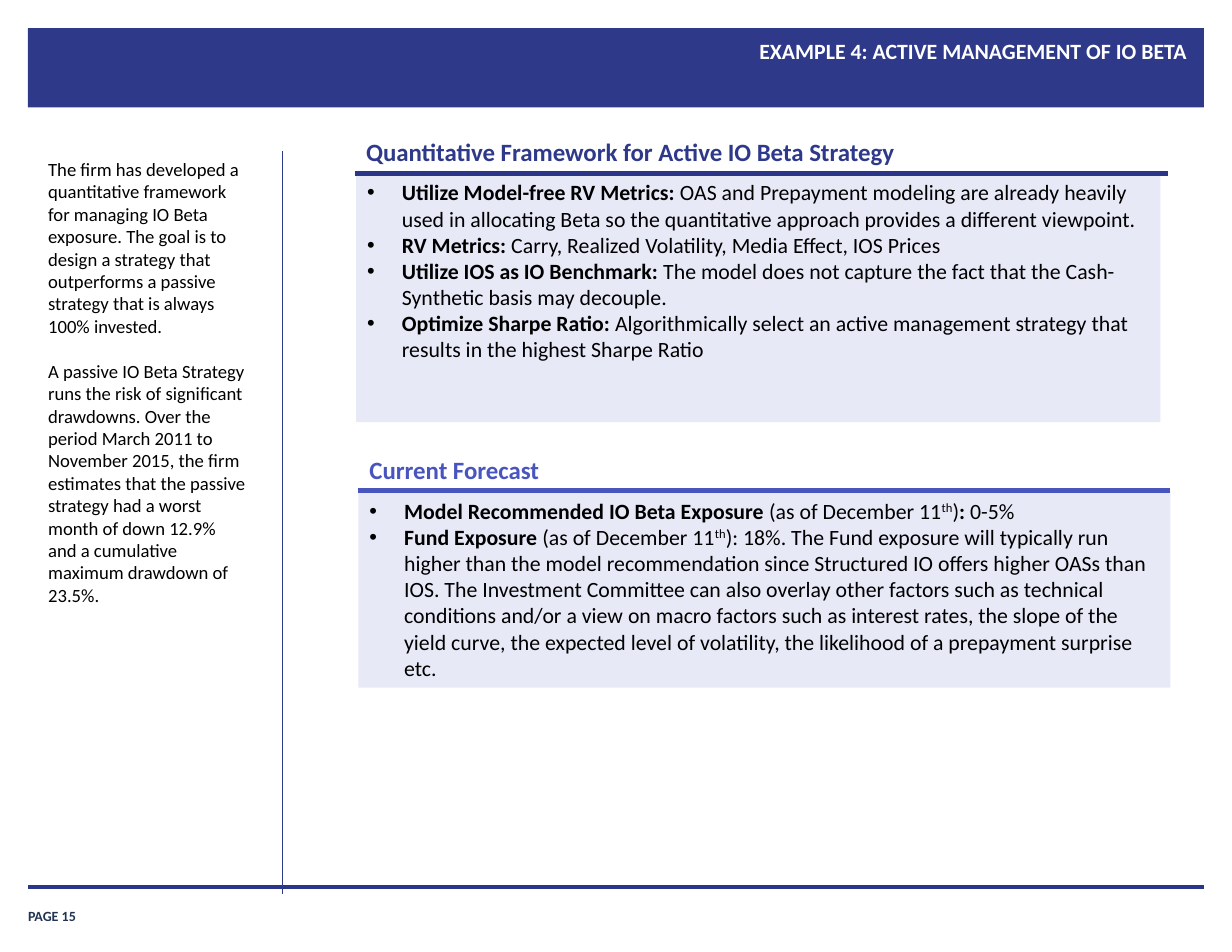
from dataclasses import dataclass

from lxml.etree import SubElement
from pptx import Presentation
from pptx.dml.color import RGBColor
from pptx.enum.shapes import MSO_CONNECTOR, MSO_SHAPE
from pptx.enum.text import MSO_ANCHOR, MSO_AUTO_SIZE, PP_ALIGN
from pptx.oxml.ns import qn
from pptx.util import Inches, Pt

NAVY = RGBColor(0x2E, 0x39, 0x8A)
RULE = RGBColor(0x2B, 0x36, 0x89)
BLUE = RGBColor(0x48, 0x55, 0xBE)
PALE = RGBColor(0xE7, 0xE9, 0xF7)
INK = RGBColor(0x20, 0x33, 0x53)
BLACK = RGBColor(0, 0, 0)
WHITE = RGBColor(0xFF, 0xFF, 0xFF)
FONT = "Calibri"


@dataclass(frozen=True)
class Box:
    left: float
    top: float
    width: float
    height: float

    def sizes(self) -> tuple:
        return tuple(Inches(n) for n in (self.left, self.top, self.width, self.height))


@dataclass(frozen=True)
class Span:
    text: str
    bold: bool = False
    raised: bool = False


@dataclass(frozen=True)
class Panel:
    head: str
    color: RGBColor
    title: Box
    back: Box
    rule: tuple


SIDE = [
    "The firm has developed a quantitative framework for managing IO Beta exposure. "
    "The goal is to design a strategy that outperforms a passive strategy that is "
    "always 100% invested.",
    "A passive IO Beta Strategy runs the risk of significant drawdowns. Over the period "
    "March 2011 to November 2015, the firm estimates that the passive strategy had a worst "
    "month of down 12.9% and a cumulative maximum drawdown of 23.5%.",
]
FRAME = Panel("Quantitative Framework for Active IO Beta Strategy", NAVY,
              Box(3.17, 1.17, 7.25, 0.37), Box(3.18, 1.55, 7.18, 2.22), (3.17, 10.43, RULE))
FORECAST = Panel("Current Forecast", BLUE,
                 Box(3.2, 4.01, 7.25, 0.37), Box(3.2, 4.38, 7.25, 1.76), (3.2, 10.45, BLUE))
METHODS = [
    [Span("Utilize Model-free RV Metrics: ", True),
     Span("OAS and Prepayment modeling are already heavily used in allocating Beta so the "
          "quantitative approach provides a different viewpoint.")],
    [Span("RV Metrics: ", True),
     Span("Carry, Realized Volatility, Media Effect, IOS Prices")],
    [Span("Utilize IOS as IO Benchmark: ", True),
     Span("The model does not capture the fact that the Cash-Synthetic basis may decouple.")],
    [Span("Optimize Sharpe Ratio: ", True),
     Span("Algorithmically select an active management strategy that results in the "
          "highest Sharpe Ratio")],
]
DATE = [Span("(as of December 11"), Span("th", raised=True)]
LEVELS = [
    [Span("Model Recommended IO Beta Exposure ", True), *DATE,
     Span(")"), Span(": ", True), Span("0-5%")],
    [Span("Fund Exposure ", True), *DATE,
     Span("): 18%. The Fund exposure will typically run higher than the model recommendation "
          "since Structured IO offers higher OASs than IOS. The Investment Committee can also "
          "overlay other factors such as technical conditions and/or a view on macro factors "
          "such as interest rates, the slope of the yield curve, the expected level of "
          "volatility, the likelihood of a prepayment surprise etc.")],
]


def add_rect(slide, box: Box, color: RGBColor):
    shape = slide.shapes.add_shape(MSO_SHAPE.RECTANGLE, *box.sizes())
    shape.shadow.inherit = False
    shape.fill.solid()
    shape.fill.fore_color.rgb = color
    shape.line.fill.background()
    return shape


def add_line(slide, start: tuple, end: tuple, color: RGBColor, width: float) -> None:
    line = slide.shapes.add_connector(
        MSO_CONNECTOR.STRAIGHT, *(Inches(n) for n in start + end))
    line.line.color.rgb = color
    line.line.width = Pt(width)
    SubElement(line._element.spPr, qn("a:effectLst"))


def add_run(para, span: Span, size: float, color: RGBColor) -> None:
    run = para.add_run()
    run.text = span.text
    font = run.font
    font.name, font.size, font.bold = FONT, Pt(size), span.bold
    font.color.rgb = color
    if span.raised:
        run._r.get_or_add_rPr().set("baseline", "30000")


def set_frame(frame, inset: tuple, anchor=MSO_ANCHOR.TOP) -> None:
    frame.word_wrap = True
    frame.auto_size = MSO_AUTO_SIZE.NONE
    frame.vertical_anchor = anchor
    frame.margin_left = frame.margin_right = Inches(inset[0])
    frame.margin_top = frame.margin_bottom = Inches(inset[1])


def add_text(slide, box: Box):
    return slide.shapes.add_textbox(*box.sizes()).text_frame


def place(shape, box: Box):
    shape.left, shape.top, shape.width, shape.height = box.sizes()
    set_frame(shape.text_frame, (0.11, 0.06))
    return shape.text_frame


def next_para(frame, index: int):
    return frame.add_paragraph() if index else frame.paragraphs[0]


def add_list(frame, items: list, anchor) -> None:
    set_frame(frame, (0.1, 0.05), anchor)
    for index, spans in enumerate(items):
        para = next_para(frame, index)
        para.alignment = PP_ALIGN.LEFT
        props = para._p.get_or_add_pPr()
        props.set("marL", str(Inches(0.31)))
        props.set("indent", str(Inches(-0.31)))
        SubElement(props, qn("a:buFont")).set("typeface", "Arial")
        SubElement(props, qn("a:buChar")).set("char", "•")
        for span in spans:
            add_run(para, span, 14, BLACK)


def add_panel(slide, panel: Panel):
    back = add_rect(slide, panel.back, PALE)
    left, right, color = panel.rule
    add_line(slide, (left, panel.back.top), (right, panel.back.top), color, 3)
    frame = add_text(slide, panel.title)
    set_frame(frame, (0.1, 0.05))
    add_run(frame.paragraphs[0], Span(panel.head, True), 16, panel.color)
    return back


def add_side(frame) -> None:
    for index, text in enumerate(SIDE):
        para = next_para(frame, index)
        para.space_before = Pt(14.5 * index)
        props = para._p.get_or_add_pPr()
        props.set("marL", "0")
        props.set("indent", "0")
        SubElement(props, qn("a:buNone"))
        add_run(para, Span(text), 12, BLACK)


def main() -> None:
    deck = Presentation()
    deck.slide_width, deck.slide_height = Inches(11), Inches(8.5)
    slide = deck.slides.add_slide(deck.slide_layouts[1])

    band = add_rect(slide, Box(0.25, 0.25, 10.5, 0.71), NAVY)
    slide.shapes._spTree.insert(2, band._element)
    add_line(slide, (0.25, 7.92), (10.75, 7.92), RULE, 2)
    add_line(slide, (2.52, 1.35), (2.52, 7.98), NAVY, 0.5)
    page = add_text(slide, Box(0.25, 8.02, 0.91, 0.23))
    set_frame(page, (0, 0), MSO_ANCHOR.BOTTOM)
    add_run(page.paragraphs[0], Span("PAGE 15", True), 9, INK)

    title = place(slide.shapes.title, Box(2.75, 0.28, 7.96, 0.7)).paragraphs[0]
    title.alignment = PP_ALIGN.RIGHT
    add_run(title, Span("EXAMPLE 4: ACTIVE MANAGEMENT OF IO BETA", True), 14, WHITE)
    add_side(place(slide.placeholders[1], Box(0.32, 1.35, 2.01, 6.48)))

    add_panel(slide, FRAME)
    add_list(add_text(slide, Box(3.18, 1.55, 7.09, 2.69)), METHODS, MSO_ANCHOR.TOP)
    back = add_panel(slide, FORECAST)
    add_list(back.text_frame, LEVELS, MSO_ANCHOR.MIDDLE)
    deck.save("out.pptx")


if __name__ == "__main__":
    main()
